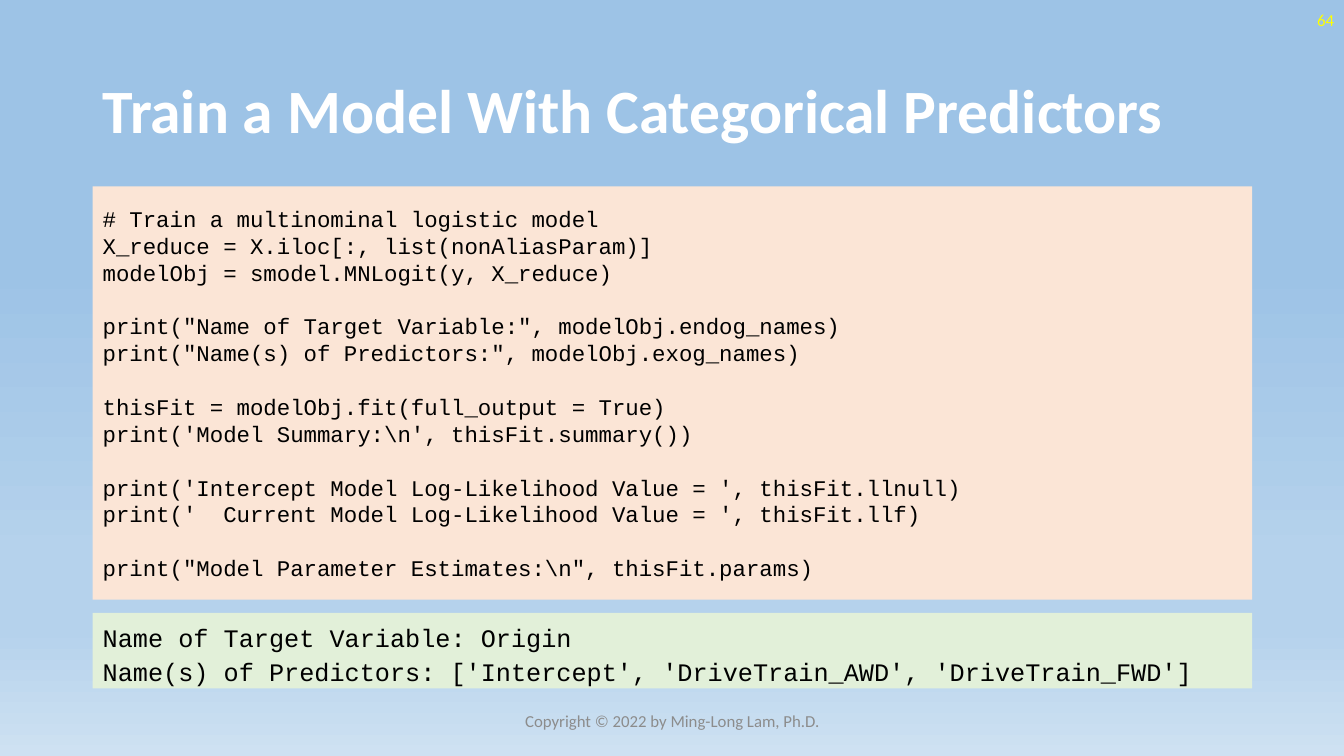
from dataclasses import dataclass, field

from lxml.etree import SubElement
from pptx import Presentation
from pptx.dml.color import RGBColor
from pptx.enum.shapes import MSO_SHAPE as Shape
from pptx.enum.text import MSO_ANCHOR as Anchor, PP_ALIGN as Align
from pptx.oxml.ns import qn
from pptx.slide import Slide
from pptx.util import Inches, Pt


@dataclass(frozen=True)
class Theme:
    sky: tuple = ((35, "9DC3E6"), (74, "B5D2EC"), (83, "B5D2EC"), (100, "CEE1F2"))
    white: str = "FFFFFF"
    yellow: str = "FFFF00"
    grey: str = "8C8C8C"
    black: str = "000000"
    peach: str = "FBE5D6"
    mint: str = "E2F0D9"
    title_size: int = 44
    small_size: int = 12
    code_size: int = 16
    output_size: int = 18
    sans: str = "Calibri"
    mono: str = "Courier New"


THEME = Theme()


@dataclass(frozen=True)
class Panel:
    left: float
    top: float
    width: float
    height: float
    blocks: tuple[str, ...]
    size: int
    colour: str
    font: str = THEME.sans
    bold: bool = False
    fill: str | None = None
    block_gap: float = 0
    frame: dict = field(default_factory=dict)
    para: dict = field(default_factory=dict)


CODE = (
    """# Train a multinominal logistic model
X_reduce = X.iloc[:, list(nonAliasParam)]
modelObj = smodel.MNLogit(y, X_reduce)""",
    """print("Name of Target Variable:", modelObj.endog_names)
print("Name(s) of Predictors:", modelObj.exog_names)""",
    r"""thisFit = modelObj.fit(full_output = True)
print('Model Summary:\n', thisFit.summary())""",
    """print('Intercept Model Log-Likelihood Value = ', thisFit.llnull)
print('  Current Model Log-Likelihood Value = ', thisFit.llf)""",
    r'print("Model Parameter Estimates:\n", thisFit.params)',
)
OUTPUT = (
    "Name of Target Variable: Origin",
    "Name(s) of Predictors: ['Intercept', 'DriveTrain_AWD', 'DriveTrain_FWD']",
)

PANELS = (
    Panel(0.92, 0.4, 11.5, 1.45, ("Train a Model With Categorical Predictors",),
          THEME.title_size, THEME.white, bold=True, para={"line_spacing": 0.9}),
    Panel(10.33, 0, 3, 0.4, ("64",), THEME.small_size, THEME.yellow,
          para={"alignment": Align.RIGHT}),
    Panel(4.42, 6.95, 4.5, 0.4, ("Copyright © 2022 by Ming-Long Lam, Ph.D.",),
          THEME.small_size, THEME.grey, para={"alignment": Align.CENTER}),
    Panel(0.92, 1.85, 11.5, 4.1, CODE, THEME.code_size, THEME.black, THEME.mono,
          fill=THEME.peach, block_gap=19.2),
    Panel(0.92, 6.08, 11.5, 0.75, OUTPUT, THEME.output_size, THEME.black, THEME.mono,
          fill=THEME.mint, block_gap=3,
          frame={"vertical_anchor": Anchor.TOP, "margin_top": Inches(0.09)}),
)


def set_all(target: object, values: dict) -> None:
    for name, value in values.items():
        setattr(target, name, value)


def paint_sky(page: Slide) -> None:
    fill = page.background.fill
    fill.gradient()
    fill.gradient_angle = 270
    stops = next(page.element.iter(qn("a:gsLst")))
    for stop in list(stops):
        stops.remove(stop)
    for percent, colour in THEME.sky:
        stop = SubElement(stops, qn("a:gs"), pos=str(percent * 1000))
        SubElement(stop, qn("a:srgbClr"), val=colour)


def draw_panel(page: Slide, panel: Panel) -> None:
    place = [Inches(n) for n in (panel.left, panel.top, panel.width, panel.height)]
    if panel.fill:
        box = page.shapes.add_shape(Shape.RECTANGLE, *place)
        box.shadow.inherit = False
        box.fill.solid()
        box.fill.fore_color.rgb = RGBColor.from_string(panel.fill)
        box.line.fill.background()
    else:
        box = page.shapes.add_textbox(*place)
    frame = box.text_frame
    set_all(frame, {"word_wrap": True, "vertical_anchor": Anchor.MIDDLE} | panel.frame)
    frame.text = "\n".join(panel.blocks)
    starts = {0}
    for block in panel.blocks:
        starts.add(max(starts) + len(block.splitlines()))
    for index, para in enumerate(frame.paragraphs):
        gap = panel.block_gap if index and index in starts else 0
        set_all(para, {"alignment": Align.LEFT, "space_before": Pt(gap)} | panel.para)
        set_all(para.font, {"name": panel.font, "size": Pt(panel.size), "bold": panel.bold})
        para.font.color.rgb = RGBColor.from_string(panel.colour)


def main() -> None:
    deck = Presentation()
    set_all(deck, {"slide_width": Inches(13.33), "slide_height": Inches(7.5)})
    page = deck.slides.add_slide(deck.slide_layouts[6])
    paint_sky(page)
    for panel in PANELS:
        draw_panel(page, panel)
    deck.save("out.pptx")


if __name__ == "__main__":
    main()
